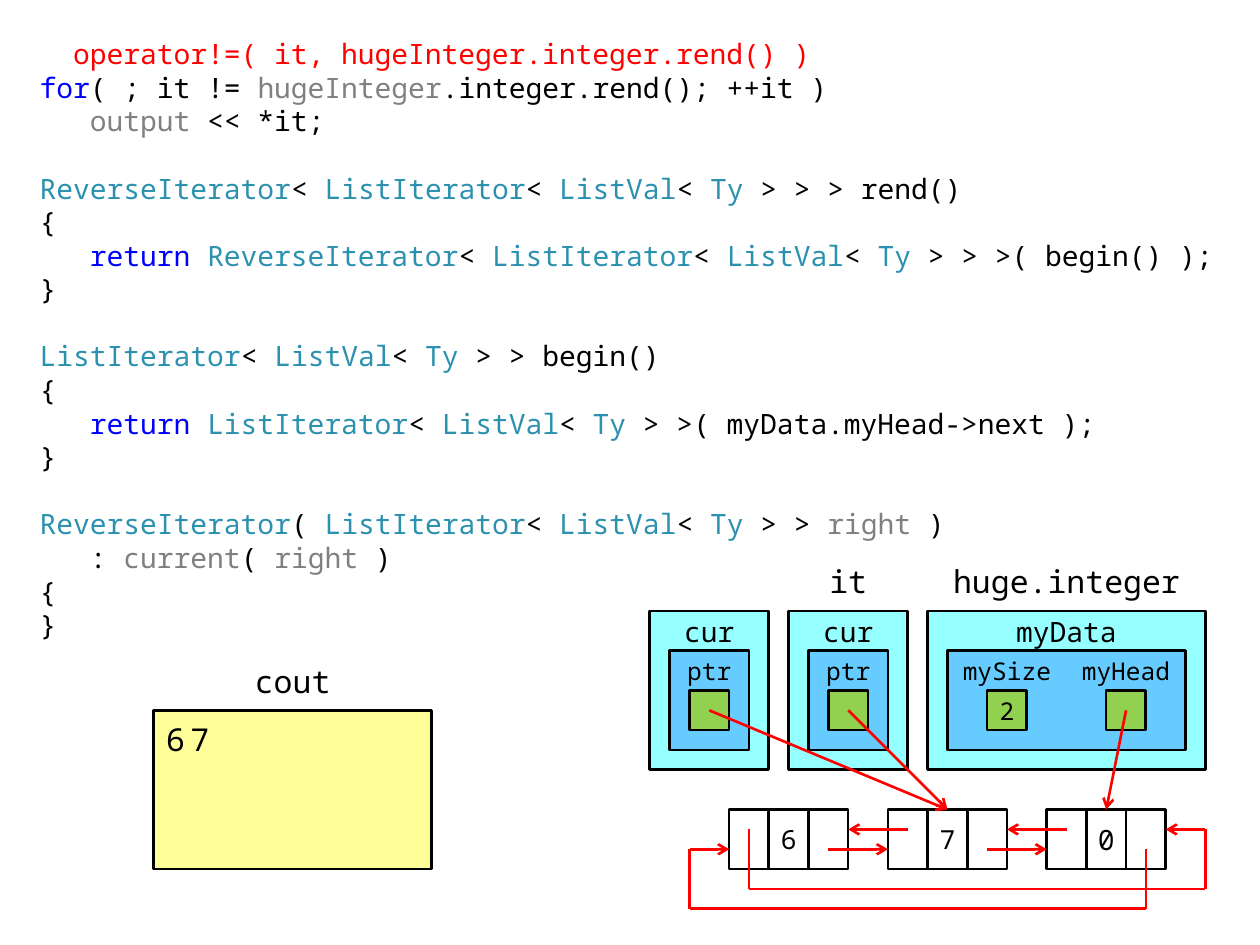
import itertools
import pptx
import pptx.dml.color
import pptx.enum.shapes
import pptx.enum.text
import pptx.util
from lxml import etree
from pptx.oxml.ns import qn

Cm, Pt = pptx.util.Cm, pptx.util.Pt
Shape = pptx.enum.shapes.MSO_SHAPE
Align = pptx.enum.text.PP_ALIGN
Anchor = pptx.enum.text.MSO_ANCHOR

FONT = "Noto Sans Mono"
BLACK, RED, BLUE, GRAY, TEAL = "000000", "FF0000", "0000FF", "808080", "2B91AF"
CYAN, SKY, GREEN, YELLOW = "96FFFF", "66CCFF", "92D050", "FFFF99"
CALL = "  operator!=( it, hugeInteger.integer.rend() )"
BLOCKS = [
    [
        CALL,
        "for( ; it != hugeInteger.integer.rend(); ++it )",
        "   output << *it;",
    ],
    [
        "ReverseIterator< ListIterator< ListVal< Ty > > > rend()",
        "{",
        "   return ReverseIterator< ListIterator< ListVal< Ty > > >( begin() );",
        "}",
    ],
    [
        "ListIterator< ListVal< Ty > > begin()",
        "{",
        "   return ListIterator< ListVal< Ty > >( myData.myHead->next );",
        "}",
    ],
    [
        "ReverseIterator( ListIterator< ListVal< Ty > > right )",
        "   : current( right )",
        "{",
        "}",
    ],
]
WORD_COLOURS = {
    **dict.fromkeys(["for", "return"], BLUE),
    **dict.fromkeys(["hugeInteger", "output", "right", "current"], GRAY),
    **dict.fromkeys(["ReverseIterator", "ListIterator", "ListVal", "Ty"], TEAL),
}

LEFT, TOP, UNIT = 13.1, 12.32, 0.4
ITERATORS = [0, 7]
NODES = [(4, "6", 15), (12, "7", 15), (20, "0", 16)]
CONTAINER = [
    (14, 0, 14, 8, CYAN),
    (15, 2, 12, 5, SKY),
    (17, 4, 2, 2, GREEN),
    (23, 4, 2, 2, GREEN),
]
LABELS = [
    (8, -3, 4, 3, "it", 18),
    (14, -3, 14, 3, "huge.integer", 18),
    (-21, 2, 6, 3, "cout", 18),
    (17, 0, 8, 2, "myData", 16),
    (15, 2, 6, 2, "mySize", 14),
    (21, 2, 6, 2, "myHead", 14),
    (17, 4, 2, 2, "2", 14),
]
ARROWS = [
    [(25, 12), (25, 15), (2, 15), (2, 12), (4, 12)],
    [(5, 11), (5, 14), (28, 14), (28, 11), (26, 11)],
    [(13, 11), (10, 11)],
    [(21, 11), (18, 11)],
    [(9, 12), (12, 12)],
    [(17, 12), (20, 12)],
    [(24, 5), (23, 10)],
    [(10, 5), (15, 10)],
    [(3, 5), (15, 10)],
]


def rgb(value):
    return pptx.dml.color.RGBColor.from_string(value)


def grid(x, y):
    return Cm(LEFT + x * UNIT), Cm(TOP + y * UNIT)


def set_margins(frame, left, top):
    frame.margin_left = frame.margin_right = Cm(left)
    frame.margin_top = frame.margin_bottom = Cm(top)
    frame.word_wrap = True


def set_font(para, size, colour=BLACK):
    para.font.name = FONT
    para.font.size = Pt(size)
    para.font.color.rgb = rgb(colour)


def add_box(page, x, y, width, height, fill=None):
    box = page.shapes.add_shape(
        Shape.RECTANGLE, *grid(x, y), Cm(width * UNIT), Cm(height * UNIT))
    box.shadow.inherit = False
    box.line.color.rgb = rgb(BLACK)
    box.line.width = Pt(1.5)
    if fill:
        box.fill.solid()
        box.fill.fore_color.rgb = rgb(fill)
    else:
        box.fill.background()
    return box


def add_label(page, x, y, width, height, text, size):
    box = page.shapes.add_textbox(*grid(x, y), Cm(width * UNIT), Cm(height * UNIT))
    frame = box.text_frame
    set_margins(frame, 0, 0)
    frame.vertical_anchor = Anchor.MIDDLE
    para = frame.paragraphs[0]
    para.text = text
    para.alignment = Align.CENTER
    set_font(para, size)


def add_arrow(page, points):
    for start, end in itertools.pairwise(points):
        line = page.shapes.add_connector(
            pptx.enum.shapes.MSO_CONNECTOR.STRAIGHT, *grid(*start), *grid(*end))
        line.line.color.rgb = rgb(RED)
        line.line.width = Pt(1.5)
        properties = line._element.spPr
        if end == points[-1]:
            etree.SubElement(properties.find(qn("a:ln")), qn("a:tailEnd"), type="arrow")
        etree.SubElement(properties, qn("a:effectLst"))


def add_code(page):
    box = page.placeholders[1]
    box.left, box.top, box.width, box.height = Cm(0.7), Cm(0.74), Cm(24), Cm(12.4)
    frame = box.text_frame
    set_margins(frame, 0.1, 0)
    frame.auto_size = pptx.enum.text.MSO_AUTO_SIZE.NONE
    frame.vertical_anchor = Anchor.TOP
    for block in BLOCKS:
        for line in block:
            first = line == CALL
            para = frame.paragraphs[0] if first else frame.add_paragraph()
            properties = para._p.get_or_add_pPr()
            properties.set("marL", "0")
            properties.set("indent", "0")
            etree.SubElement(properties, qn("a:buNone"))
            para.line_spacing = Pt(19.2)
            para.space_before = Pt(19.2 if line == block[0] and not first else 0)
            para.space_after = Pt(0)
            set_font(para, 16, RED if first else BLACK)
            words = ["".join(part) for _, part in itertools.groupby(line, str.isalnum)]
            colours = {} if first else WORD_COLOURS
            for colour, part in itertools.groupby(words, colours.get):
                span = para.add_run()
                span.text = "".join(part)
                if colour:
                    span.font.color.rgb = rgb(colour)


def add_console(page):
    frame = add_box(page, -25, 5, 14, 8, YELLOW).text_frame
    set_margins(frame, 0.25, 0.2)
    frame.vertical_anchor = Anchor.TOP
    para = frame.paragraphs[0]
    para.alignment = Align.LEFT
    span = para.add_run()
    span.text = "67"
    span.font._element.set("spc", "300")
    set_font(para, 18)


def main():
    deck = pptx.Presentation()
    deck.slide_width, deck.slide_height = Cm(25.4), Cm(19.05)
    page = deck.slides.add_slide(deck.slide_layouts[1])
    title = page.shapes.title._element
    title.getparent().remove(title)

    add_code(page)
    add_console(page)
    for x in ITERATORS:
        add_box(page, x, 0, 6, 8, CYAN)
        add_box(page, x + 1, 2, 4, 5, SKY)
        add_box(page, x + 2, 4, 2, 2, GREEN)
        add_label(page, x + 1, 0, 4, 2, "cur", 16)
        add_label(page, x + 1, 2, 4, 2, "ptr", 14)
    for part in CONTAINER:
        add_box(page, *part)
    for x, value, size in NODES:
        for column in range(3):
            add_box(page, x + 2 * column, 10, 2, 3)
        add_label(page, x + 2, 10, 2, 3, value, size)
    for label in LABELS:
        add_label(page, *label)
    for points in ARROWS:
        add_arrow(page, points)
    deck.save("out.pptx")


if __name__ == "__main__":
    main()
